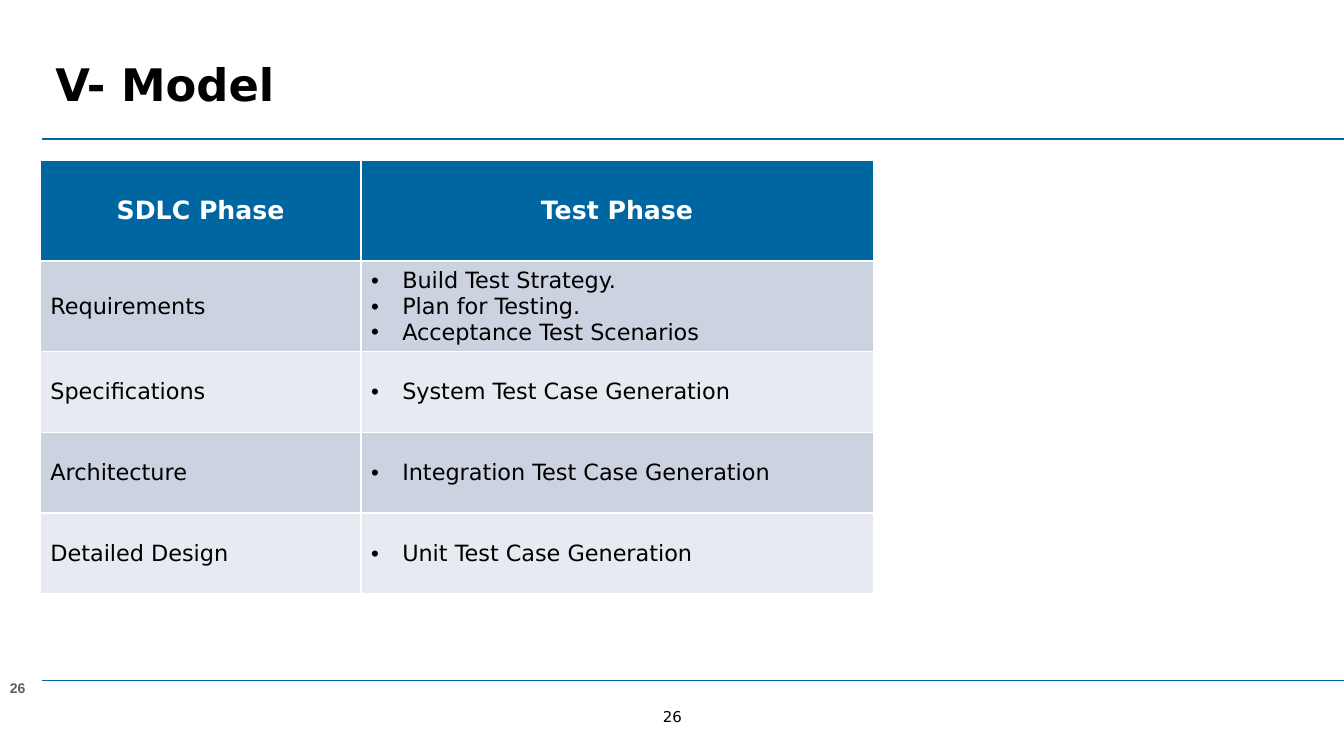
from dataclasses import dataclass
from lxml.etree import SubElement
from pptx import Presentation
from pptx.dml.color import RGBColor as RGB
from pptx.enum.shapes import MSO_CONNECTOR as Conn
from pptx.enum.text import MSO_ANCHOR as Anchor, PP_ALIGN as Align
from pptx.oxml.ns import qn
from pptx.util import Inches, Pt


@dataclass(frozen=True)
class Theme:
    """Colours, fonts and type sizes of the slide."""
    blue: str = "0066A1"
    white: str = "FFFFFF"
    black: str = "000000"
    grey: str = "5F5F5F"
    bands: tuple = ("CCD3E0", "E7EAF0")
    body_font: str = "DejaVu Sans"
    number_font: str = "Arial"
    title: float = 32
    header: float = 18
    body: float = 16
    footer: float = 10.7
    number: float = 10


T = Theme()
WIDTH, HEIGHT = 13.33, 7.5
PAGE = "26"
HEADERS = ("SDLC Phase", "Test Phase")
PHASES = (
    ("Requirements", ("Build Test Strategy.", "Plan for Testing.",
                      "Acceptance Test Scenarios")),
    ("Specifications", ("System Test Case Generation",)),
    ("Architecture", ("Integration Test Case Generation",)),
    ("Detailed Design", ("Unit Test Case Generation",)),
)


def add_run(p, text, size, color=T.black, bold=False, font=T.body_font):
    """Add one formatted run to a paragraph."""
    r = p.add_run()
    r.text = text
    r.font.size, r.font.bold, r.font.name = Pt(size), bold, font
    r.font.color.rgb = RGB.from_string(color)


def add_bullet(p, indent=0.31):
    """Give a paragraph a hanging bullet."""
    pPr = p._p.get_or_add_pPr()
    pPr.set("marL", str(Inches(indent)))
    pPr.set("indent", str(-Inches(indent)))
    SubElement(pPr, qn("a:buFont"), typeface="Arial")
    SubElement(pPr, qn("a:buChar"), char="•")


def add_label(slide, box, text, insets=(0.1, 0.05), align=Align.LEFT,
              anchor=Anchor.TOP, wrap=True, **style):
    """Place a single line of text in a box."""
    tf = slide.shapes.add_textbox(*map(Inches, box)).text_frame
    tf.word_wrap, tf.vertical_anchor = wrap, anchor
    tf.margin_left = tf.margin_right = Inches(insets[0])
    tf.margin_top = tf.margin_bottom = Inches(insets[1])
    p = tf.paragraphs[0]
    p.alignment = align
    add_run(p, text, **style)


def add_rule(slide, left, y):
    """Draw a rule from the left margin to the slide's right edge."""
    line = slide.shapes.add_connector(
        Conn.STRAIGHT, Inches(left), Inches(y), Inches(WIDTH), Inches(y))
    line.line.color.rgb = RGB.from_string(T.blue)
    line.line.width = Pt(1.25)
    SubElement(line._element.spPr, qn("a:effectLst"))


def fill_cell(cell, fill, lines, bulleted=False, align=Align.LEFT, **style):
    """Fill a table cell and write its lines."""
    cell.fill.solid()
    cell.fill.fore_color.rgb = RGB.from_string(fill)
    cell.vertical_anchor = Anchor.MIDDLE
    tf = cell.text_frame
    for i, text in enumerate(lines):
        p = tf.add_paragraph() if i else tf.paragraphs[0]
        p.alignment = align
        if bulleted:
            add_bullet(p)
        add_run(p, text, **style)


def add_phase_table(slide, box, header_height=1.0, first_share=0.385):
    """Build the table that pairs each SDLC phase with its test phase."""
    left, top, width, height = map(Inches, box)
    table = slide.shapes.add_table(
        len(PHASES) + 1, len(HEADERS), left, top, width, height).table
    for col, share in zip(table.columns, (first_share, 1 - first_share)):
        col.width = int(width * share)
    row_height = (box[3] - header_height) / len(PHASES)
    for i, row in enumerate(table.rows):
        row.height = Inches(row_height if i else header_height)
    for c, text in enumerate(HEADERS):
        fill_cell(table.cell(0, c), T.blue, [text], align=Align.CENTER,
                  size=T.header, color=T.white, bold=True)
    for i, (phase, tests) in enumerate(PHASES):
        band = T.bands[i % 2]
        fill_cell(table.cell(i + 1, 0), band, [phase], size=T.body)
        fill_cell(table.cell(i + 1, 1), band, tests, bulleted=True, size=T.body)


def add_frame(slide, left=0.42):
    """Add the two rules and both page numbers."""
    add_label(slide, (6.54, 7.02, 0.26, 0.18), PAGE, insets=(0, 0),
              align=Align.CENTER, anchor=Anchor.MIDDLE, wrap=False,
              size=T.footer)
    for y in (1.38, 6.75):
        add_rule(slide, left, y)
    add_label(slide, (0, 6.69, 1.09, 0.29), PAGE, size=T.number,
              color=T.grey, bold=True, font=T.number_font)


def main():
    """Build and save the slide."""
    prs = Presentation()
    prs.slide_width, prs.slide_height = Inches(WIDTH), Inches(HEIGHT)
    slide = prs.slides.add_slide(prs.slide_layouts[6])
    add_frame(slide)
    add_label(slide, (0.55, 0.51, 12.65, 0.83), "V- Model",
              insets=(0, 0.05), size=T.title, bold=True)
    add_phase_table(slide, (0.4, 1.59, 8.26, 4.2))
    prs.save("out.pptx")


if __name__ == "__main__":
    main()
